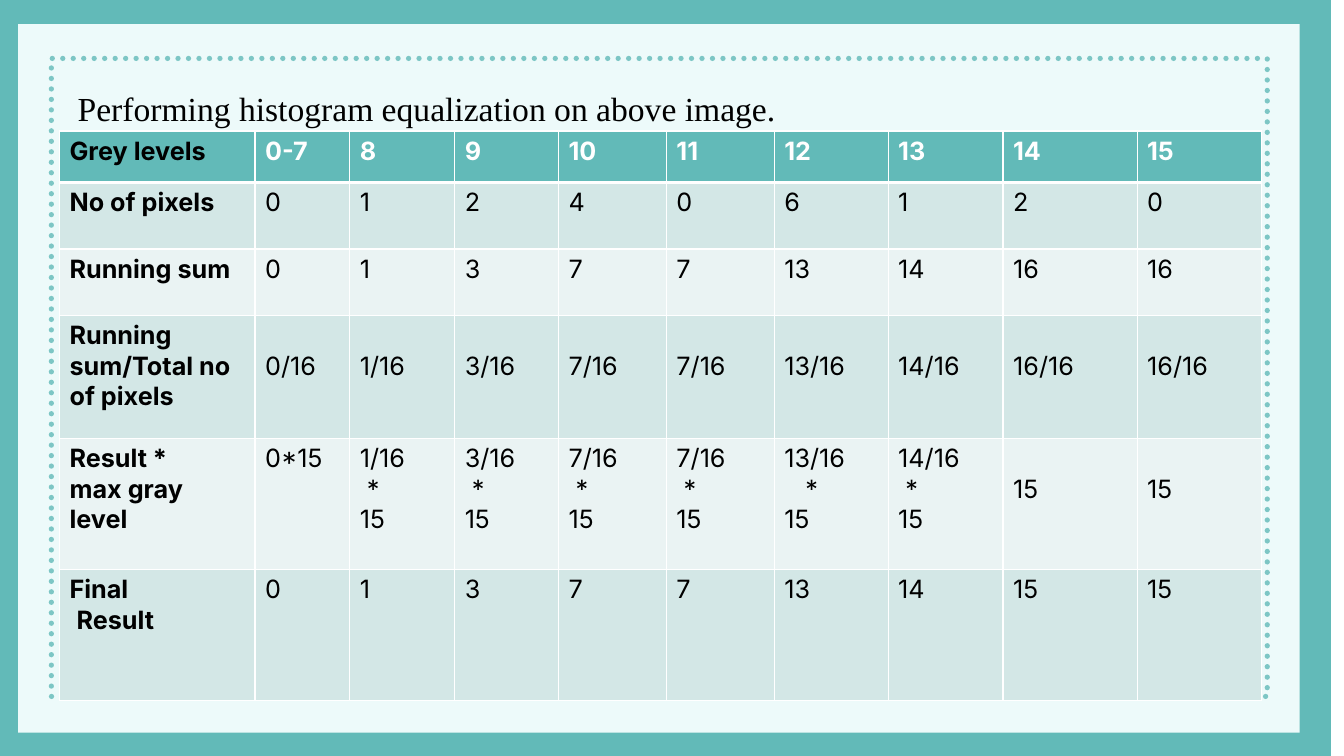
"""Build a slide that tabulates histogram equalization step by step."""
import lxml.etree
import pptx
import pptx.dml.color
import pptx.enum.dml
import pptx.enum.shapes
import pptx.enum.text
import pptx.oxml.ns
import pptx.util

Inches = pptx.util.Inches
Pt = pptx.util.Pt
qn = pptx.oxml.ns.qn

TEAL, PALE, WHITE, BLACK = "62BAB8", "EDFAFA", "FFFFFF", "000000"
BANDS = ["D3E7E6", "EAF3F3"]
COLUMN_WIDTHS = [1.94, 0.94, 1.04, 1.03, 1.07, 1.07, 1.13, 1.14, 1.33, 1.23]
ROW_HEIGHTS = [0.51, 0.66, 0.66, 1.22, 1.3, 1.3]
SUMS = [0, 1, 3, 7, 7, 13, 14, 16, 16]
FRACTIONS = [f"{total}/16" for total in SUMS]
ROWS = [
    ["Grey levels", "0-7"] + [str(level) for level in range(8, 16)],
    ["No of pixels"] + list("012406120"),
    ["Running sum"] + [str(total) for total in SUMS],
    ["Running sum/Total no of pixels"] + FRACTIONS,
    ["Result *\nmax gray level", "0*15"]
    + [f"{fraction}\n*\n15" for fraction in FRACTIONS[1:7]] + ["15", "15"],
    ["Final\nResult"] + [str(min(total, 15)) for total in SUMS],
]
LOWERED = {(3, column) for column in range(1, 10)} | {(4, 8), (4, 9)}
INDENTED = {"*": 0.07, "Result": 0.07}


def color(value):
    """Turn a hex string into a colour."""
    return pptx.dml.color.RGBColor.from_string(value)


def add_span(para, text, font, size, ink, bold=False):
    """Add one formatted run to a paragraph."""
    span = para.add_run()
    span.text = text
    span.font.name = font
    span.font.size = Pt(size)
    span.font.bold = bold
    span.font.color.rgb = color(ink)


def add_panel(page, box, fill=None):
    """Add a plain rectangle without an outline."""
    panel = page.shapes.add_shape(
        pptx.enum.shapes.MSO_SHAPE.RECTANGLE, *map(Inches, box))
    panel.shadow.inherit = False
    panel.line.fill.background()
    if fill:
        panel.fill.solid()
        panel.fill.fore_color.rgb = color(fill)
    else:
        panel.fill.background()
    return panel


def add_frame(page, box):
    """Add the teal border, the pale panel and the dotted outline."""
    left, top, width, height = box
    add_panel(page, box, TEAL)
    add_panel(page, (left + 0.31, top + 0.24, width - 0.62, height - 0.47), PALE)
    dotted = add_panel(page, (left + 0.64, top + 0.58, width - 1.27, height - 1.17))
    dotted.line.color.rgb = color(TEAL)
    dotted.line.width = Pt(3.75)
    dotted.line.dash_style = pptx.enum.dml.MSO_LINE.ROUND_DOT
    outline = dotted.element.spPr.find(qn("a:ln"))
    outline.set("cap", "rnd")
    shade = outline.find(".//" + qn("a:srgbClr"))
    lxml.etree.SubElement(shade, qn("a:alpha"), val="80000")


def add_title(page, box, text):
    """Place the title placeholder in front of the frame."""
    title = page.shapes.title
    title.left, title.top, title.width, title.height = map(Inches, box)
    frame = title.text_frame
    frame.word_wrap = True
    frame.auto_size = pptx.enum.text.MSO_AUTO_SIZE.NONE
    frame.vertical_anchor = pptx.enum.text.MSO_ANCHOR.TOP
    para = frame.paragraphs[0]
    para.alignment = pptx.enum.text.PP_ALIGN.LEFT
    para.line_spacing = 1.0
    add_span(para, text, "Times New Roman", 24, BLACK)
    title.element.getparent().append(title.element)


def set_borders(cell, bottom):
    """Draw white lines on all four sides of a cell."""
    properties = cell._tc.get_or_add_tcPr()
    sides = {"a:lnL": 1, "a:lnR": 1, "a:lnT": 1, "a:lnB": bottom}
    for place, (side, points) in enumerate(sides.items()):
        line = lxml.etree.Element(qn(side), w=str(Pt(points)))
        fill = lxml.etree.SubElement(line, qn("a:solidFill"))
        lxml.etree.SubElement(fill, qn("a:srgbClr"), val=WHITE)
        properties.insert(place, line)


def fill_cell(cell, text, row, column):
    """Write and style one table cell."""
    header = row == 0
    cell.fill.solid()
    cell.fill.fore_color.rgb = color(TEAL if header else BANDS[(row - 1) % 2])
    set_borders(cell, 3 if header else 1)
    if (row, column) in LOWERED:
        cell.margin_top = Inches(0.35)
    for index, line in enumerate(text.split("\n")):
        frame = cell.text_frame
        para = frame.add_paragraph() if index else frame.paragraphs[0]
        if line in INDENTED:
            indent = 0.21 if text.startswith("13/16") else INDENTED[line]
            para._p.get_or_add_pPr().set("marL", str(Inches(indent)))
        ink = WHITE if header and column else BLACK
        add_span(para, line, "Inter", 18, ink, header or column == 0)


def add_levels_table(page, box):
    """Add the table of grey levels."""
    table = page.shapes.add_table(
        len(ROWS), len(COLUMN_WIDTHS), *map(Inches, box)).table
    for column, width in zip(table.columns, COLUMN_WIDTHS):
        column.width = Inches(width)
    for row, height in zip(table.rows, ROW_HEIGHTS):
        row.height = Inches(height)
    for row, texts in enumerate(ROWS):
        for column, text in enumerate(texts):
            fill_cell(table.cell(row, column), text, row, column)


def main():
    """Build and save the deck."""
    deck = pptx.Presentation()
    deck.slide_width, deck.slide_height = Inches(13.33), Inches(7.5)
    page = deck.slides.add_slide(deck.slide_layouts[5])
    add_frame(page, (-0.13, 0, 13.33, 7.5))
    add_levels_table(page, (0.59, 1.3, sum(COLUMN_WIDTHS), sum(ROW_HEIGHTS)))
    add_title(page, (0.67, 0.82, 11.41, 0.91),
              "Performing histogram equalization on above image.")
    deck.save("out.pptx")


if __name__ == "__main__":
    main()
